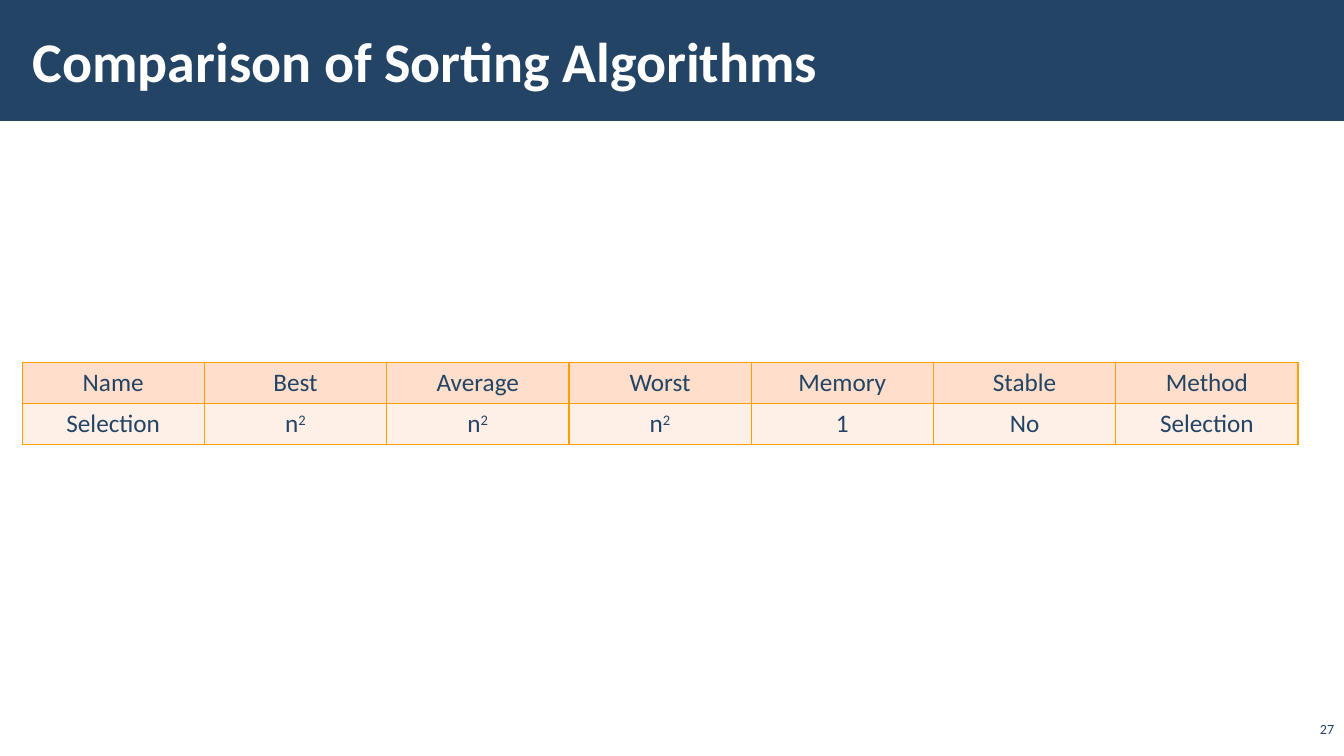
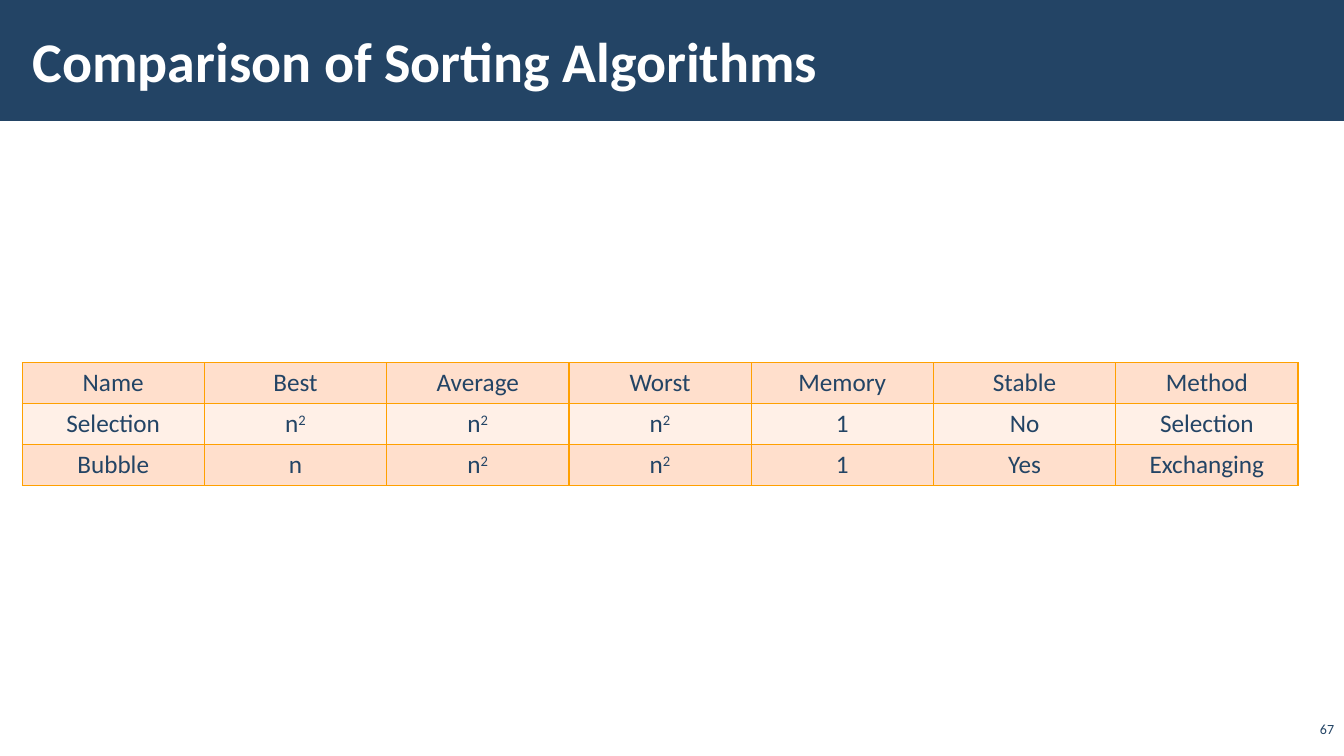
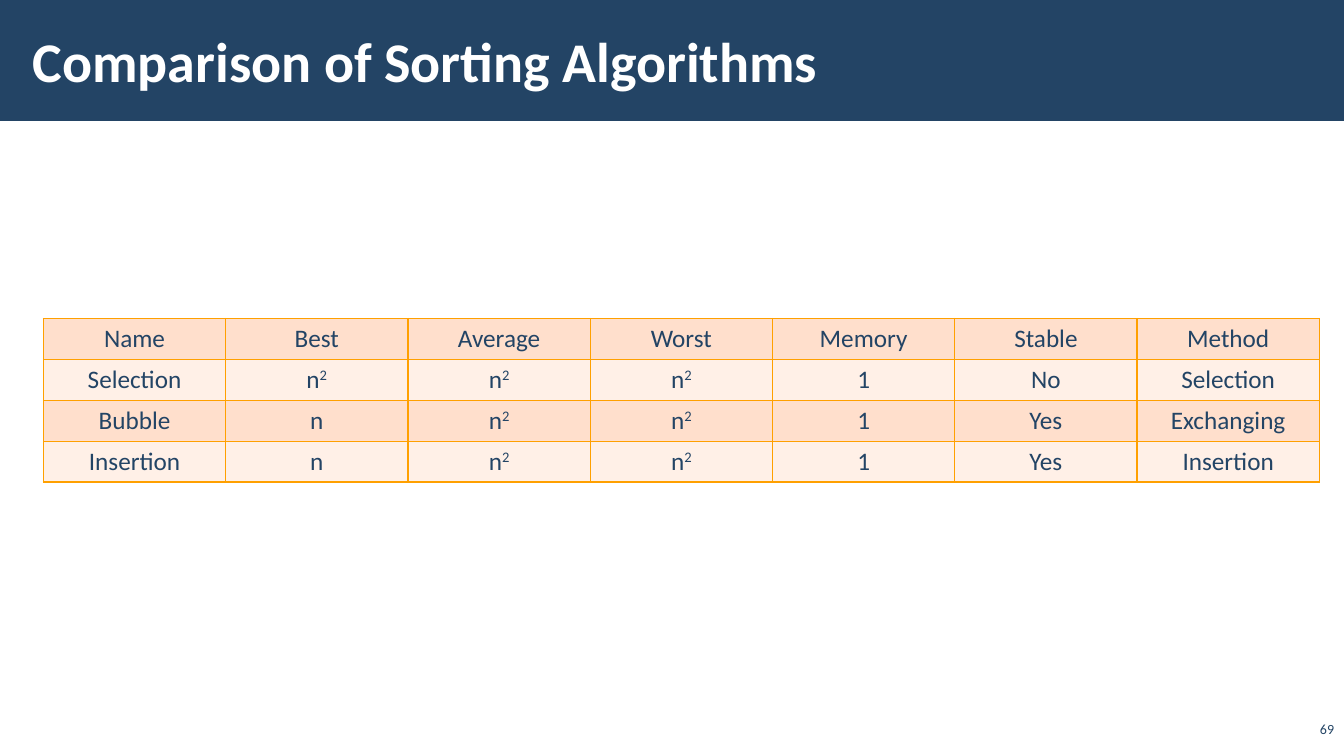
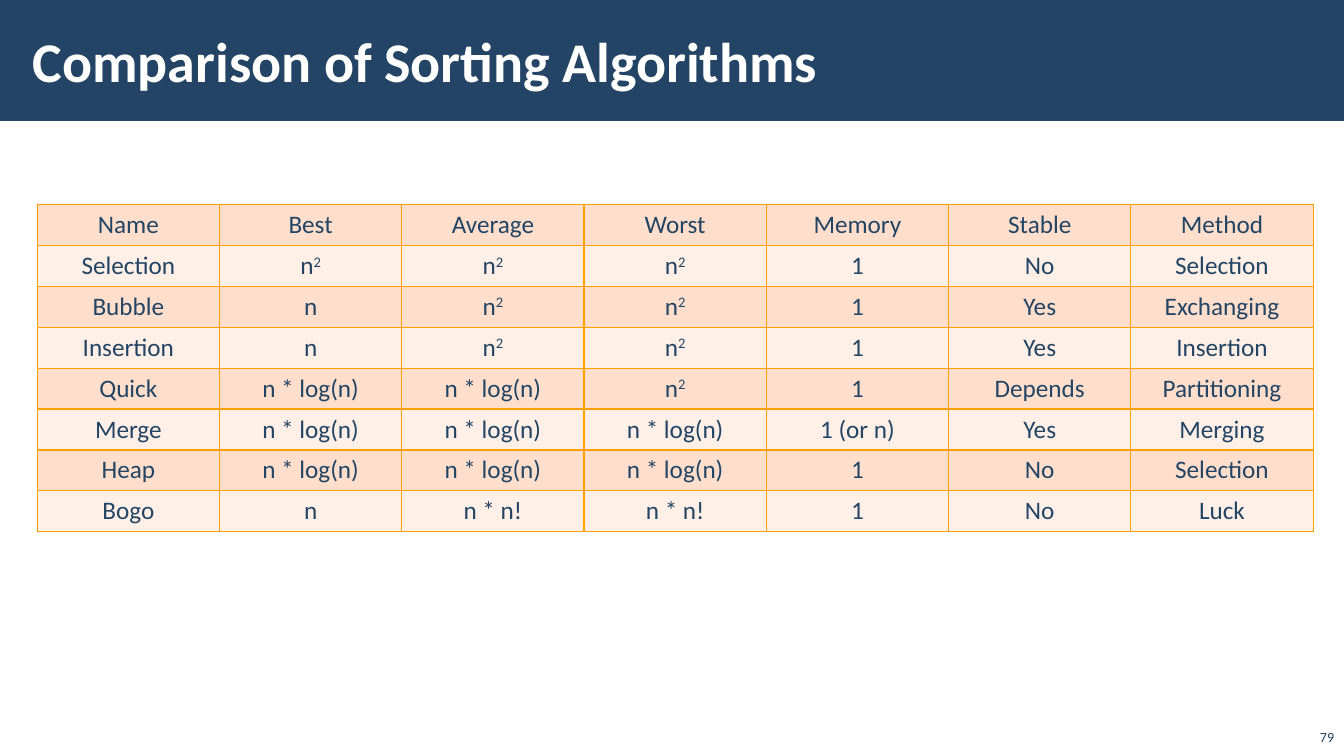
from dataclasses import dataclass

from lxml import etree
from pptx import Presentation
from pptx import util as u
from pptx.dml.color import RGBColor
from pptx.enum import shapes, text
from pptx.oxml import ns

Pt = u.Pt


@dataclass(frozen=True)
class Theme:
    font: str = "Calibri"
    navy: str = "234465"
    white: str = "FFFFFF"
    border: str = "FFA000"
    bands: tuple = ("FFDFCC", "FFF0E7")
    title_size: int = 40
    table_size: int = 18
    number_size: int = 10
    border_width: int = 1


WIDTH, HEIGHT = 960, 540
BAND_HEIGHT = 86.4
COLUMN_WIDTH, ROW_HEIGHT = 130.2, 29.2

HEADER = ("Name", "Best", "Average", "Worst", "Memory", "Stable", "Method")
ALGORITHMS = (
    ("Selection", "n^2", "n^2", "n^2", "1", "No", "Selection"),
    ("Bubble", "n", "n^2", "n^2", "1", "Yes", "Exchanging"),
    ("Insertion", "n", "n^2", "n^2", "1", "Yes", "Insertion"),
    ("Quick", "n * log(n)", "n * log(n)", "n^2", "1", "Depends", "Partitioning"),
    ("Merge", "n * log(n)", "n * log(n)", "n * log(n)", "1 (or n)", "Yes", "Merging"),
    ("Heap", "n * log(n)", "n * log(n)", "n * log(n)", "1", "No", "Selection"),
    ("Bogo", "n", "n * n!", "n * n!", "1", "No", "Luck"),
)


def write(tf, content, *, font, size, color, bold=False, align=text.PP_ALIGN.LEFT):
    """Fill the first paragraph; what follows a ^ becomes superscript."""
    p = tf.paragraphs[0]
    p.alignment = align
    for i, part in enumerate(content.split("^")):
        r = p.add_run()
        r.text = part
        r.font.name = font
        r.font.size = Pt(size)
        r.font.bold = bold
        r.font.color.rgb = RGBColor.from_string(color)
        if i:
            r._r.get_or_add_rPr().set("baseline", "30000")


def add_borders(cell, color, width):
    tcPr = cell._tc.get_or_add_tcPr()
    for side in ("a:lnL", "a:lnR", "a:lnT", "a:lnB"):
        ln = etree.SubElement(tcPr, ns.qn(side), w=str(Pt(width)))
        fill = etree.SubElement(ln, ns.qn("a:solidFill"))
        etree.SubElement(fill, ns.qn("a:srgbClr"), val=color)


class Deck:
    def __init__(self, theme):
        self.theme = theme
        self.prs = Presentation()
        self.prs.slide_width, self.prs.slide_height = Pt(WIDTH), Pt(HEIGHT)
        self.s = None

    def new_slide(self):
        self.s = self.prs.slides.add_slide(self.prs.slide_layouts[6])

    def band(self):
        sp = self.s.shapes.add_shape(
            shapes.MSO_SHAPE.RECTANGLE, 0, 0, Pt(WIDTH), Pt(BAND_HEIGHT))
        sp.shadow.inherit = False
        sp.fill.solid()
        sp.fill.fore_color.rgb = RGBColor.from_string(self.theme.navy)
        sp.line.fill.background()

    def text_box(self, content, box, anchor, insets=(7.2, 3.6), **style):
        sp = self.s.shapes.add_textbox(*map(Pt, box))
        tf = sp.text_frame
        tf.word_wrap = True
        tf.vertical_anchor = anchor
        tf.margin_left = tf.margin_right = Pt(insets[0])
        tf.margin_top = tf.margin_bottom = Pt(insets[1])
        write(tf, content, font=self.theme.font, **style)

    def title(self, content):
        self.text_box(content, (15, 8, 765, 70), text.MSO_ANCHOR.MIDDLE,
                      insets=(8.4, 3), size=self.theme.title_size,
                      color=self.theme.white, bold=True)

    def number(self, value, box):
        self.text_box(str(value), box, text.MSO_ANCHOR.BOTTOM,
                      size=self.theme.number_size, color=self.theme.navy,
                      align=text.PP_ALIGN.RIGHT)

    def table(self, rows, left, top):
        t = self.theme
        table = self.s.shapes.add_table(
            len(rows), len(rows[0]), Pt(left), Pt(top),
            Pt(COLUMN_WIDTH * len(rows[0])), Pt(ROW_HEIGHT * len(rows))).table
        table.first_row = table.horz_banding = False
        for column in table.columns:
            column.width = Pt(COLUMN_WIDTH)
        for i, values in enumerate(rows):
            table.rows[i].height = Pt(ROW_HEIGHT)
            for j, value in enumerate(values):
                cell = table.cell(i, j)
                add_borders(cell, t.border, t.border_width)
                cell.fill.solid()
                cell.fill.fore_color.rgb = RGBColor.from_string(t.bands[i % 2])
                write(cell.text_frame, value, font=t.font, size=t.table_size,
                      color=t.navy, align=text.PP_ALIGN.CENTER)


def main():
    deck = Deck(Theme())
    number_box, last_number_box = (926, 514, 34, 16), (931, 512.6, 29, 23)
    for number, box, count, left, top in (
        (27, number_box, 1, 15.8, 259.2),
        (67, number_box, 2, 15.8, 259.2),
        (69, number_box, 3, 31, 227.5),
        (79, last_number_box, 7, 26.6, 146.2),
    ):
        deck.new_slide()
        deck.band()
        deck.title("Comparison of Sorting Algorithms")
        deck.number(number, box)
        deck.table((HEADER, *ALGORITHMS[:count]), left, top)
    deck.prs.save("out.pptx")


if __name__ == "__main__":
    main()
